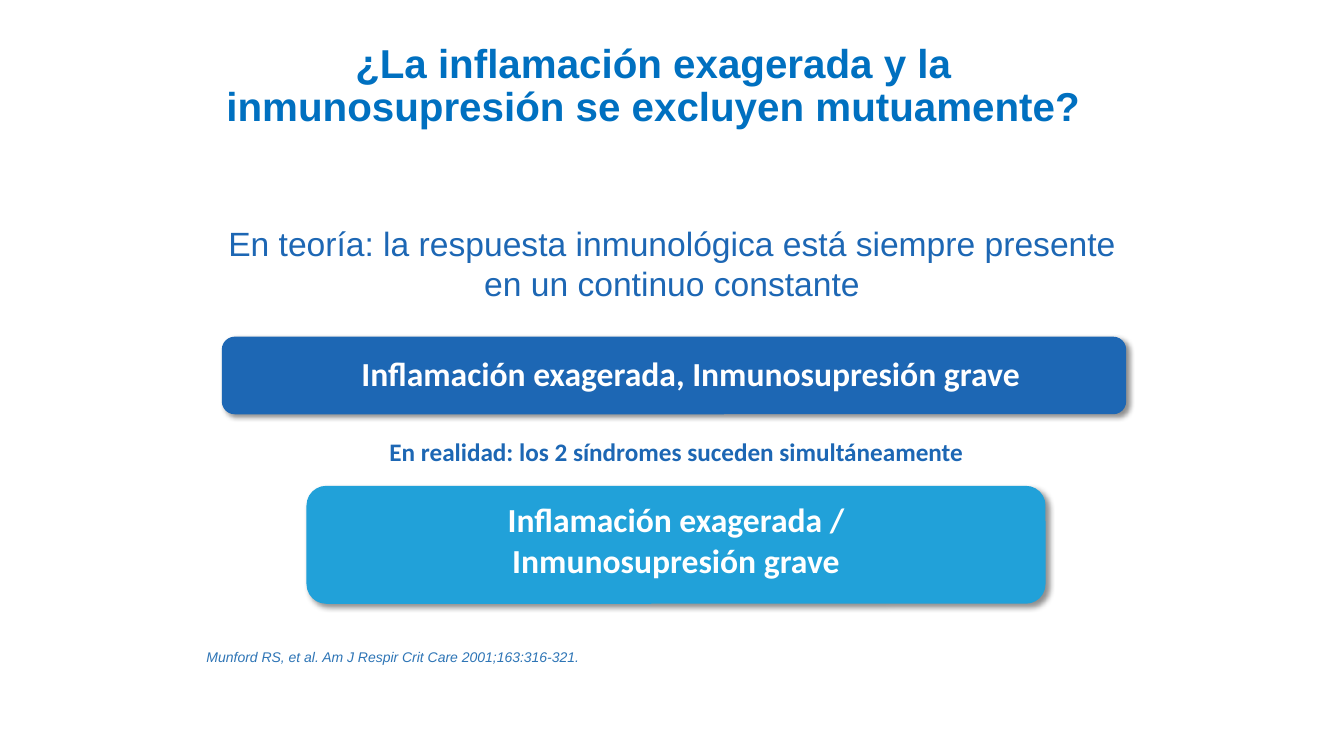
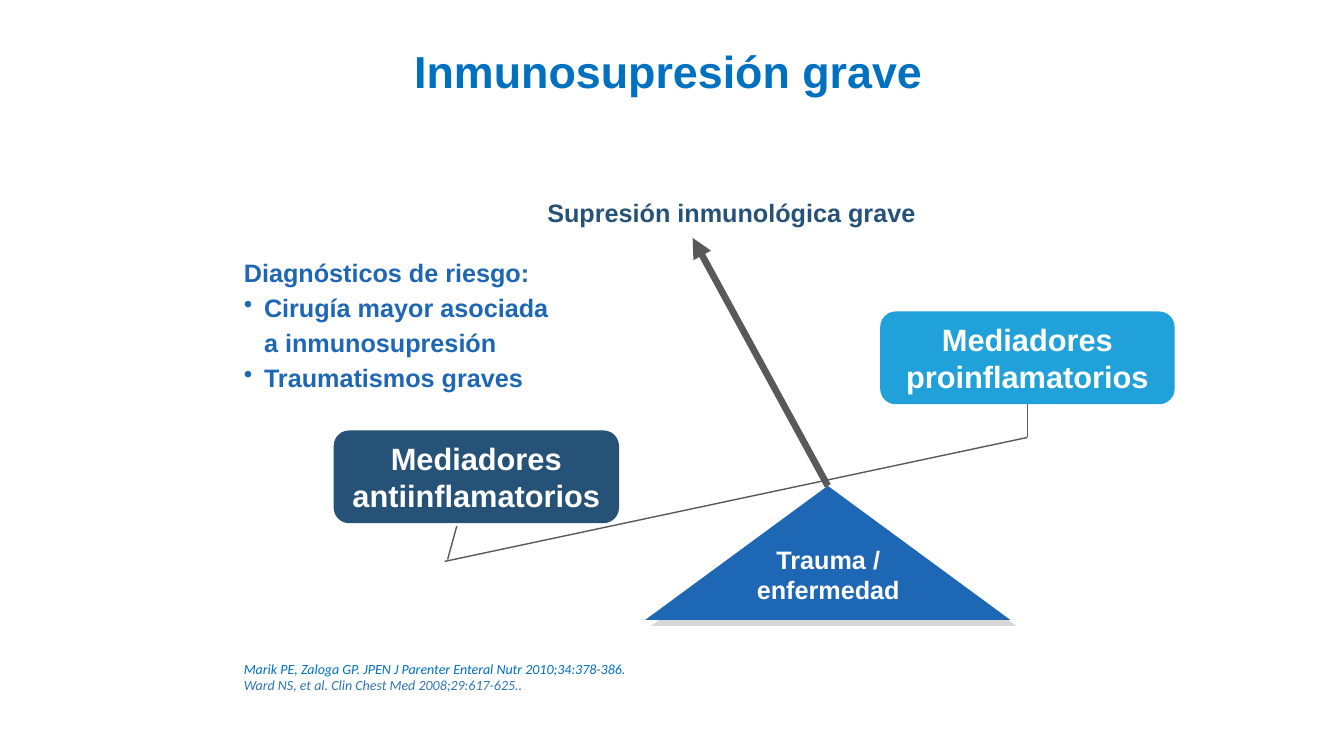
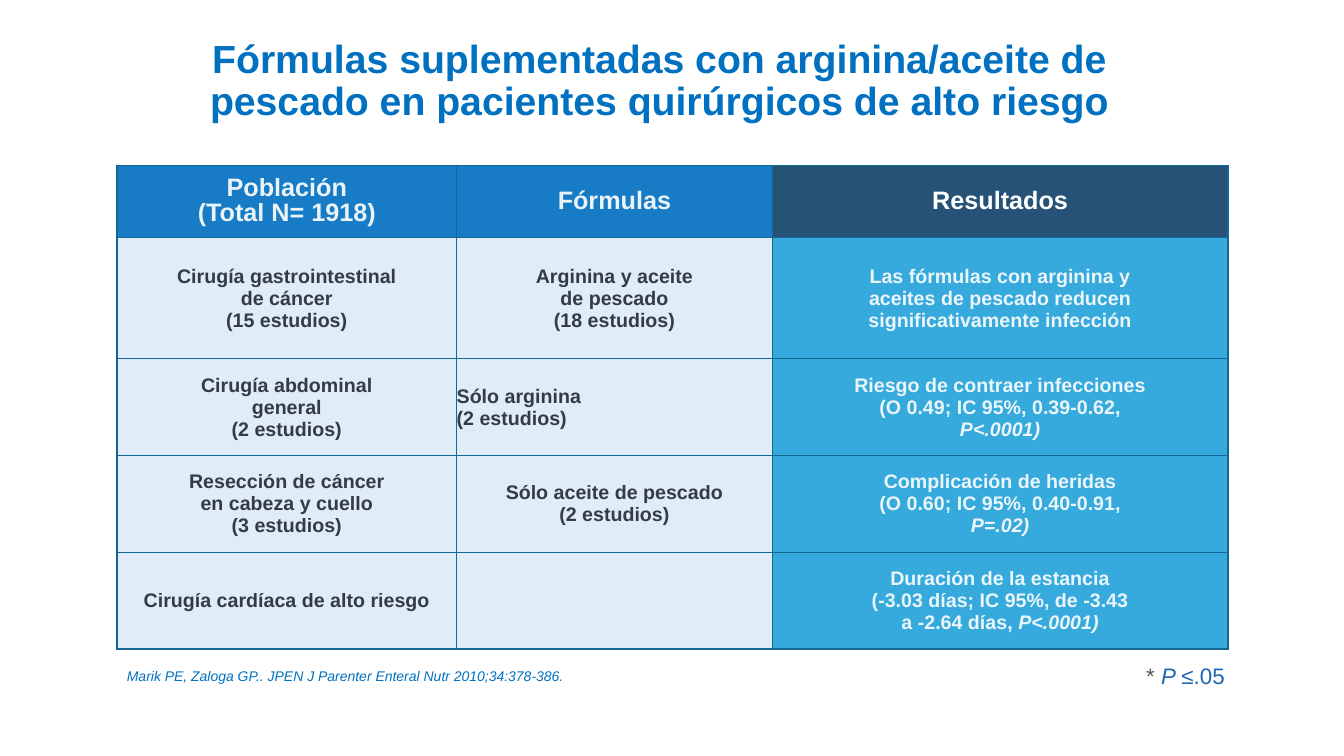
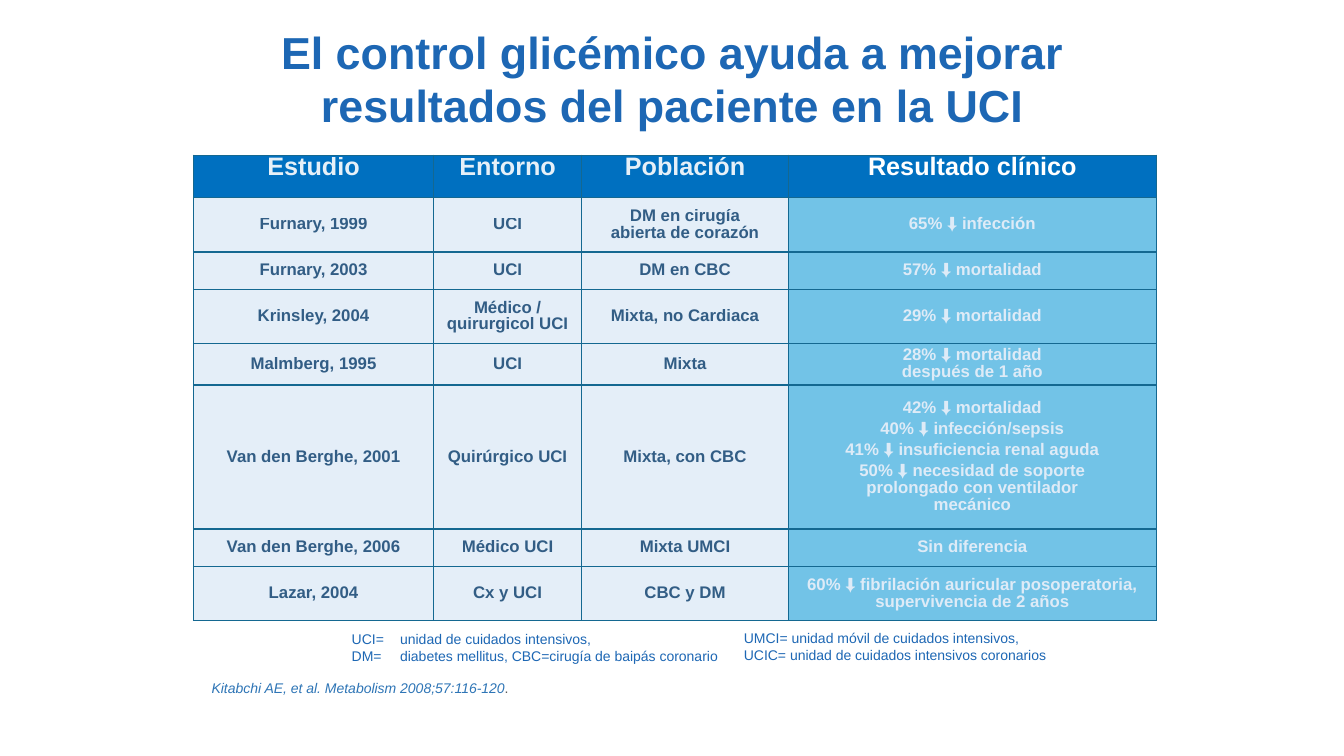
from typing import NamedTuple, Optional

from lxml.etree import SubElement
from pptx import Presentation
from pptx.dml.color import RGBColor
from pptx.enum.shapes import MSO_CONNECTOR, MSO_SHAPE
from pptx.enum.text import MSO_ANCHOR, PP_ALIGN
from pptx.oxml.ns import qn
from pptx.util import Inches, Pt

WHITE = RGBColor(0xFF, 0xFF, 0xFF)
BLACK = RGBColor(0x00, 0x00, 0x00)
GRAY = RGBColor(0x59, 0x59, 0x59)
SHADOW_GRAY = RGBColor(0x80, 0x80, 0x80)
TITLE_BLUE = RGBColor(0x00, 0x70, 0xC0)
BLUE = RGBColor(0x1D, 0x67, 0xB4)
SKY = RGBColor(0x21, 0xA1, 0xD9)
NAVY = RGBColor(0x26, 0x52, 0x78)
REFERENCE_BLUE = RGBColor(0x2E, 0x75, 0xB6)
BORDER_BLUE = RGBColor(0x14, 0x68, 0x91)
PALE = RGBColor(0xDE, 0xEB, 0xF7)
MIST = RGBColor(0x9D, 0xC3, 0xE6)
SLATE = RGBColor(0x22, 0x2A, 0x35)
DEEP_BLUE = RGBColor(0x1F, 0x4E, 0x79)

ARIAL, CALIBRI = "Arial", "Calibri"
CENTER, LEFT = PP_ALIGN.CENTER, PP_ALIGN.LEFT


class Span(NamedTuple):
    """A piece of a paragraph that may differ from the rest of it."""
    text: str
    color: Optional[RGBColor] = None
    italic: Optional[bool] = None


class CellStyle(NamedTuple):
    fill: RGBColor
    fill_alpha: int
    color: RGBColor
    alpha: int
    size: float
    leading: float = 1.0
    before: float = 0
    anchor: MSO_ANCHOR = MSO_ANCHOR.MIDDLE


def set_alpha(props, percent):
    """Make the solid fill held by a properties element translucent."""
    if percent < 100:
        clr = props.find(f"{qn('a:solidFill')}/{qn('a:srgbClr')}")
        SubElement(clr, qn("a:alpha"), val=str(percent * 1000))


class Deck:
    def __init__(self):
        self.prs = Presentation()
        self.prs.slide_width, self.prs.slide_height = Inches(13.33), Inches(7.5)
        self.s = None

    def new_slide(self):
        self.s = self.prs.slides.add_slide(self.prs.slide_layouts[6])

    def fill_text(self, tf, paragraphs, size, color, bold=False, italic=False, font=ARIAL,
                  align=LEFT, alpha=100, leading=1.0, before=0, after=0):
        """Fill a text frame; a paragraph is a string or a tuple of spans."""
        if isinstance(paragraphs, str):
            paragraphs = [paragraphs]
        for i, para in enumerate(paragraphs):
            p = tf.paragraphs[0] if i == 0 else tf.add_paragraph()
            p.alignment, p.line_spacing = align, leading
            if i and before:
                p.space_before = Pt(before)
            if after:
                p.space_after = Pt(after)
            if isinstance(para, str):
                p.text = para
                spans = [Span(para)] * len(p.runs)
            else:
                spans = para
                for span in spans:
                    p.add_run().text = span.text
            for r, span in zip(p.runs, spans):
                r.font.name, r.font.size, r.font.bold = font, Pt(size), bold
                r.font.italic = italic if span.italic is None else span.italic
                r.font.fill.solid()
                r.font.fill.fore_color.rgb = span.color or color
                set_alpha(r._r.get_or_add_rPr(), alpha)

    def text(self, left, top, width, height, paragraphs, size, color,
             anchor=MSO_ANCHOR.TOP, **style):
        box = self.s.shapes.add_textbox(Inches(left), Inches(top), Inches(width), Inches(height))
        tf = box.text_frame
        tf.word_wrap, tf.vertical_anchor = True, anchor
        self.fill_text(tf, paragraphs, size, color, **style)
        return tf

    def title(self, left, top, width, height, text, size, color=TITLE_BLUE, leading=0.9):
        self.text(left, top, width, height, text, size, color, anchor=MSO_ANCHOR.MIDDLE,
                  bold=True, align=CENTER, leading=leading)

    def reference(self, left, top, width, paragraphs, color=TITLE_BLUE, font=ARIAL):
        self.text(left, top, width, 0.27, paragraphs, 10, color, italic=True, font=font)

    def shape(self, kind, left, top, width, height, fill):
        sp = self.s.shapes.add_shape(kind, Inches(left), Inches(top), Inches(width), Inches(height))
        sp.shadow.inherit = False
        sp.fill.solid()
        sp.fill.fore_color.rgb = fill
        sp.line.fill.background()
        return sp

    def label(self, left, top, width, height, fill, paragraphs, size, **style):
        """Rounded box with bold white centred text."""
        sp = self.shape(MSO_SHAPE.ROUNDED_RECTANGLE, left, top, width, height, fill)
        tf = sp.text_frame
        tf.word_wrap, tf.vertical_anchor = True, MSO_ANCHOR.MIDDLE
        self.fill_text(tf, paragraphs, size, WHITE, bold=True, align=CENTER, **style)
        return sp

    def cast_shadow(self, sp, color, alpha, blur, distance):
        effects = sp._element.spPr.find(qn("a:effectLst"))
        shadow = SubElement(effects, qn("a:outerShdw"), blurRad=str(Pt(blur)),
                            dist=str(Pt(distance)), dir="2700000", algn="tl", rotWithShape="0")
        clr = SubElement(shadow, qn("a:srgbClr"), val=str(color))
        SubElement(clr, qn("a:alpha"), val=str(alpha * 1000))

    def line(self, start, end, width=1, arrow=False):
        cxn = self.s.shapes.add_connector(MSO_CONNECTOR.STRAIGHT, *map(Inches, start + end))
        cxn.line.color.rgb, cxn.line.width = GRAY, Pt(width)
        spPr = cxn._element.spPr
        if arrow:
            SubElement(spPr.find(qn("a:ln")), qn("a:tailEnd"), type="triangle")
        SubElement(spPr, qn("a:effectLst"))
        return cxn

    def bullet(self, p):
        pPr = p._p.get_or_add_pPr()
        pPr.set("marL", str(Inches(0.2)))
        pPr.set("indent", str(Inches(-0.2)))
        SubElement(pPr, qn("a:buChar"), char="•")

    def tab_stop(self, p, position):
        tabs = SubElement(p._p.get_or_add_pPr(), qn("a:tabLst"))
        SubElement(tabs, qn("a:tab"), pos=str(Inches(position)), algn="l")

    def cell_borders(self, cell):
        tcPr = cell._tc.get_or_add_tcPr()
        for side in ("lnL", "lnR", "lnT", "lnB"):
            ln = SubElement(tcPr, qn(f"a:{side}"), w=str(Pt(1)))
            fill = SubElement(ln, qn("a:solidFill"))
            SubElement(fill, qn("a:srgbClr"), val=str(BORDER_BLUE))

    def table(self, left, top, widths, heights, rows, style_at):
        """Draw a table; style_at(row, column) gives the style of a cell."""
        frame = self.s.shapes.add_table(len(rows), len(widths), Inches(left), Inches(top),
                                        Inches(sum(widths)), Inches(sum(heights)))
        table = frame.table
        table.first_row = table.horz_banding = False
        for column, width in zip(table.columns, widths):
            column.width = Inches(width)
        for row, height in zip(table.rows, heights):
            row.height = Inches(height)
        for i, row in enumerate(rows):
            for j, content in enumerate(row):
                cell, style = table.cell(i, j), style_at(i, j)
                cell.margin_left = cell.margin_right = cell.margin_top = cell.margin_bottom = 0
                cell.vertical_anchor = style.anchor
                self.cell_borders(cell)
                cell.fill.solid()
                cell.fill.fore_color.rgb = style.fill
                set_alpha(cell._tc.tcPr, style.fill_alpha)
                if content:
                    self.fill_text(cell.text_frame, content, style.size, style.color, bold=True,
                                   align=CENTER, alpha=style.alpha, leading=style.leading,
                                   before=style.before)
        return table


def exclusion_slide(deck):
    deck.new_slide()
    theory = deck.label(2.2, 3.34, 8.97, 0.77, BLUE,
                        "Inflamación exagerada, Inmunosupresión grave", 24,
                        font=CALIBRI, leading=0.9)
    theory.text_frame.margin_left = Inches(0.43)
    reality = deck.label(3.04, 4.82, 7.33, 1.17, SKY,
                         ["Inflamación exagerada /", "Inmunosupresión grave"], 24,
                         font=CALIBRI, leading=Pt(20.8), after=8.4)
    for sp in (theory, reality):
        deck.cast_shadow(sp, BLACK, 43, 4, 3)
    deck.text(1.6, 2.16, 10.13, 0.91,
              "En teoría: la respuesta inmunológica está siempre presente\n"
              "en un continuo constante", 24, BLUE, align=CENTER)
    deck.text(2.25, 4.28, 8.92, 0.4, "En realidad: los 2 síndromes suceden simultáneamente",
              18, BLUE, bold=True, font=CALIBRI, align=CENTER)
    deck.reference(1.95, 6.38, 6.33,
                   "Munford RS, et al. Am J Respir Crit Care 2001;163:316-321.", REFERENCE_BLUE)
    deck.title(1.79, 0.2, 9.38, 1.33,
               "¿La inflamación exagerada y la inmunosupresión se excluyen mutuamente?", 28.8)


def balance_slide(deck):
    deck.new_slide()
    deck.title(2.32, 0.19, 8.62, 1.08, "Inmunosupresión grave", 32)
    deck.reference(2.32, 6.5, 7.5, [
        "Marik PE, Zaloga GP. JPEN J Parenter Enteral Nutr 2010;34:378-386.",
        (Span("Ward NS, et al. Clin Chest Med 2008;29:617-625..", REFERENCE_BLUE),),
    ], font=CALIBRI)
    deck.text(5.33, 1.91, 4.42, 0.4, "Supresión inmunológica grave", 18, NAVY, bold=True)

    fulcrum = deck.shape(MSO_SHAPE.ISOSCELES_TRIANGLE, 6.4, 4.82, 3.62, 1.33, BLUE)
    deck.cast_shadow(fulcrum, SHADOW_GRAY, 30, 0, 6)
    pro = deck.label(8.73, 3.09, 2.92, 0.92, SKY, ["Mediadores", "proinflamatorios"], 22)
    beam_low, beam_high = (4.41, 5.57), (10.19, 4.34)
    deck.line((10.19, 4.01), beam_high).begin_connect(pro, 2)
    deck.line(beam_low, beam_high)
    deck.line((8.21, 4.82), (6.87, 2.36), 4.75, arrow=True).begin_connect(fulcrum, 0)
    deck.label(3.31, 4.27, 2.83, 0.92, NAVY, ["Mediadores", "antiinflamatorios"], 22)
    deck.line((4.53, 5.22), (4.44, 5.55))

    risks = deck.text(2.32, 2.45, 3.82, 1.5, [
        "Diagnósticos de riesgo:",
        "Cirugía mayor asociada\na inmunosupresión",
        "Traumatismos graves",
    ], 18, BLUE, bold=True, leading=Pt(25.2))
    for p in risks.paragraphs[1:]:
        deck.bullet(p)
    deck.text(7.28, 5.35, 1.87, 0.7, "Trauma / enfermedad", 18, WHITE, bold=True, align=CENTER)


def formulas_slide(deck):
    deck.new_slide()
    deck.title(1.76, 0.27, 9.56, 1.08,
               "Fórmulas suplementadas con arginina/aceite de pescado "
               "en pacientes quirúrgicos de alto riesgo", 28)
    rows = [
        ["Población\n(Total N= 1918)", "Fórmulas", "Resultados"],
        [["Cirugía gastrointestinal", "de cáncer", "(15 estudios)"],
         "Arginina y aceite\nde pescado\n(18 estudios)",
         ["Las fórmulas con arginina y", "aceites de pescado reducen",
          "significativamente infección"]],
        [["Cirugía abdominal\ngeneral", "(2 estudios)"],
         ["Sólo arginina", "(2 estudios)"],
         ["Riesgo de contraer infecciones", "(O 0.49; IC 95%, 0.39-0.62,",
          (Span("P<.0001)", italic=True),)]],
        [["Resección de cáncer\nen cabeza y cuello", "(3 estudios)"],
         ["Sólo aceite de pescado", "(2 estudios)"],
         ["Complicación de heridas", "(O 0.60; IC 95%, 0.40-0.91,",
          (Span("P=.02)", italic=True),)]],
        ["Cirugía cardíaca de alto riesgo", "",
         ["Duración de la estancia", "(-3.03 días; IC 95%, de -3.43",
          (Span("a -2.64 días, "), Span("P<.0001)", italic=True))]],
    ]
    header = CellStyle(TITLE_BLUE, 91, WHITE, 91, 18, leading=0.9)
    result_header = header._replace(fill=NAVY, fill_alpha=100, alpha=100)
    body = CellStyle(PALE, 91, SLATE, 91, 14)
    result = CellStyle(SKY, 90, WHITE, 90, 14)

    def style_at(row, column):
        if row == 0:
            return result_header if column == 2 else header
        return result if column == 2 else body

    table = deck.table(1.16, 1.64, [3.37, 3.13, 4.52], [0.72, 1.2] + [0.96] * 3, rows, style_at)
    for p in table.cell(2, 1).text_frame.paragraphs:
        p.alignment = LEFT
    deck.text(11.27, 6.52, 1.5, 0.37,
              [(Span("* ", GRAY), Span("P ", italic=True), Span("≤.05"))], 16, BLUE)
    deck.reference(1.16, 6.57, 6.08,
                   "Marik PE, Zaloga GP.. JPEN J Parenter Enteral Nutr 2010;34:378-386.")


def glycemic_slide(deck):
    deck.new_slide()
    rows = [
        ["Estudio", "Entorno", "Población", "Resultado clínico"],
        ["Furnary, 1999", "UCI", "DM en cirugía\nabierta de corazón", "65% ⬇ infección"],
        ["Furnary, 2003", "UCI", "DM en CBC", "57% ⬇ mortalidad"],
        ["Krinsley, 2004", "Médico / quirurgicol UCI", "Mixta, no Cardiaca",
         "29% ⬇ mortalidad"],
        ["Malmberg, 1995", "UCI", "Mixta", "28% ⬇ mortalidad\ndespués de 1 año"],
        ["Van den Berghe, 2001", "Quirúrgico UCI", "Mixta, con CBC",
         ["42% ⬇ mortalidad", "40% ⬇ infección/sepsis", "41% ⬇ insuficiencia renal aguda",
          "50% ⬇ necesidad de soporte\nprolongado con ventilador\nmecánico"]],
        ["Van den Berghe, 2006", "Médico UCI", "Mixta UMCI", "Sin diferencia"],
        ["Lazar, 2004", "Cx y UCI", "CBC y DM",
         "60% ⬇ fibrilación auricular posoperatoria, supervivencia de 2 años"],
    ]
    header = CellStyle(TITLE_BLUE, 100, WHITE, 90, 18, leading=0.9, anchor=MSO_ANCHOR.TOP)
    body = CellStyle(MIST, 27, DEEP_BLUE, 90, 12, leading=0.9, before=3)
    result = body._replace(fill=SKY, fill_alpha=63, color=PALE, alpha=100)

    def style_at(row, column):
        if row == 0:
            return header._replace(alpha=100) if column == 3 else header
        return result if column == 3 else body

    deck.table(1.92, 1.54, [2.38, 1.47, 2.05, 3.65],
               [0.42, 0.54, 0.37, 0.54, 0.41, 1.43, 0.37, 0.54], rows, style_at)
    deck.reference(2, 6.69, 6, [
        (Span("Kitabchi AE, et al. Metabolism 2008;57:116-120"), Span(".", GRAY, False)),
    ], REFERENCE_BLUE)
    deck.title(1.67, 0.15, 10, 1.25,
               "El control glicémico ayuda a mejorar resultados del paciente en la UCI",
               32, BLUE, leading=1.0)
    abbreviations = deck.text(3.39, 6.21, 3.91, 0.44, [
        "UCI=\tunidad de cuidados intensivos,",
        "DM=\tdiabetes mellitus, CBC=cirugía de baipás coronario",
    ], 10, BLUE)
    for p in abbreviations.paragraphs:
        deck.tab_stop(p, 0.48)
    deck.text(7.28, 6.2, 3.32, 0.44, [
        "UMCI= unidad móvil de cuidados intensivos,",
        "UCIC= unidad de cuidados intensivos coronarios",
    ], 10, BLUE)


def main():
    deck = Deck()
    for build in (exclusion_slide, balance_slide, formulas_slide, glycemic_slide):
        build(deck)
    deck.prs.save("out.pptx")


if __name__ == "__main__":
    main()
